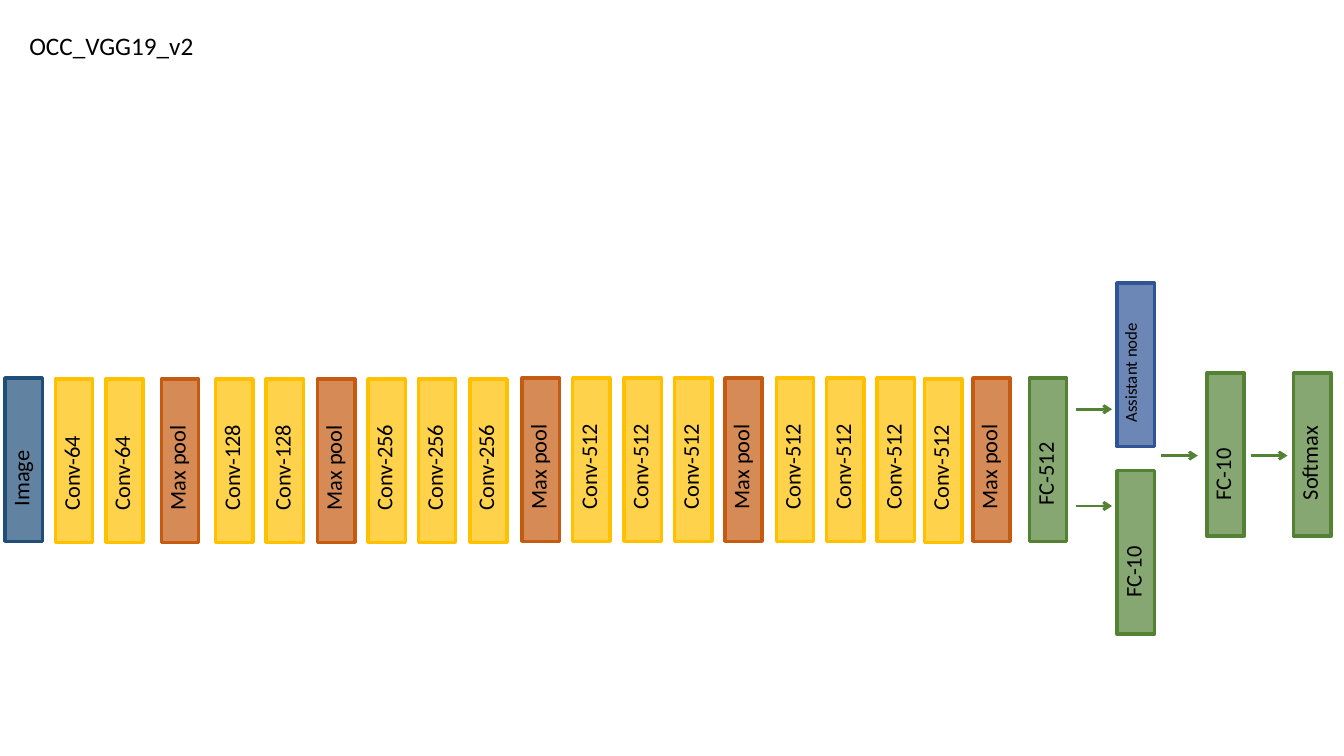
from dataclasses import dataclass
from typing import Any

from pptx import Presentation
from pptx.dml.color import RGBColor
from pptx.enum.shapes import MSO_CONNECTOR, MSO_SHAPE
from pptx.enum.text import MSO_ANCHOR, MSO_AUTO_SIZE, PP_ALIGN
from pptx.oxml.xmlchemy import OxmlElement
from pptx.util import Emu, Pt

EMU_PER_PX = 9144
PAGE_WIDTH, PAGE_HEIGHT = 1333, 750
BLOCK_WIDTH, BLOCK_HEIGHT, LABEL_HEIGHT = 37, 162, 161
PITCH = 50.3
ARROW_LENGTH = 36


@dataclass(frozen=True)
class Theme:
    font: str = "Calibri"
    text: str = "000000"
    image: str = "1F4E79"
    conv: str = "FFC000"
    pool: str = "C55A11"
    dense: str = "548235"
    assistant: str = "2F5597"
    fill_opacity: int = 70
    title_size: int = 18
    label_size: int = 16
    small_size: int = 12
    border: float = 2.5
    arrow: float = 2


THEME = Theme()


@dataclass(frozen=True)
class LayerKind:
    color: str
    label_rise: int
    label_size: int = THEME.label_size
    label_width: int = 47
    label_shift: int = 3


@dataclass(frozen=True)
class LayerRun:
    """Layers side by side at the common pitch."""
    left: int
    top: int
    labels: tuple[str, ...]


@dataclass(frozen=True)
class Arrow:
    left: int
    middle: int


KINDS = {
    "Image": LayerKind(THEME.image, 24),
    "Conv": LayerKind(THEME.conv, 21),
    "Max pool": LayerKind(THEME.pool, 21),
    "FC": LayerKind(THEME.dense, 25),
    "Softmax": LayerKind(THEME.dense, 25),
    "Assistant node": LayerKind(THEME.assistant, 13, THEME.small_size, 40, 2),
}
POOL = "Max pool"
RUNS = (
    LayerRun(5, 375, ("Image",)),
    LayerRun(55, 376, ("Conv-64",) * 2),
    LayerRun(160, 376, (POOL,)),
    LayerRun(214, 376, ("Conv-128",) * 2 + (POOL,) + ("Conv-256",) * 3),
    LayerRun(518, 375, (POOL, *("Conv-512",) * 3) * 2),
    LayerRun(917, 376, ("Conv-512",)),
    LayerRun(965, 375, (POOL,)),
    LayerRun(1021, 375, ("FC-512",)),
    LayerRun(1108, 281, ("Assistant node",)),
    LayerRun(1108, 467, ("FC-10",)),
    LayerRun(1197, 370, ("FC-10",)),
    LayerRun(1283, 370, ("Softmax",)),
)
ARROWS = (Arrow(1067, 406), Arrow(1067, 502), Arrow(1152, 452), Arrow(1241, 452))


def px(*lengths: int) -> tuple[Emu, ...]:
    return tuple(Emu(length * EMU_PER_PX) for length in lengths)


def set_format(target: Any, values: dict[str, Any]) -> None:
    for name, value in values.items():
        setattr(target, name, value)


def write(frame: Any, text: str, size: int) -> None:
    para = frame.paragraphs[0]
    para.alignment = PP_ALIGN.LEFT
    span = para.add_run()
    span.text = text
    set_format(span.font, {"name": THEME.font, "size": Pt(size)})
    span.font.color.rgb = RGBColor.from_string(THEME.text)


def add_title(page: Any, text: str) -> None:
    title = page.shapes.title
    left, top, width, height = px(19, 25, 846, 40)
    set_format(title, {"left": left, "top": top, "width": width, "height": height})
    set_format(title.text_frame, {
        "word_wrap": True,
        "auto_size": MSO_AUTO_SIZE.NONE,
        "vertical_anchor": MSO_ANCHOR.TOP,
    })
    write(title.text_frame, text, THEME.title_size)


def add_block(page: Any, left: int, top: int, color: str) -> None:
    block = page.shapes.add_shape(
        MSO_SHAPE.RECTANGLE, *px(left, top, BLOCK_WIDTH, BLOCK_HEIGHT))
    block.shadow.inherit = False
    block.fill.solid()
    block.fill.fore_color.rgb = block.line.color.rgb = RGBColor.from_string(color)
    block.line.width = Pt(THEME.border)
    alpha = OxmlElement("a:alpha")
    alpha.set("val", str(THEME.fill_opacity * 1000))
    block.fill._xPr.solidFill[0].append(alpha)


def add_label(page: Any, left: int, top: int, text: str, kind: LayerKind) -> None:
    """Write a label that reads from bottom to top."""
    box = page.shapes.add_textbox(*px(
        left - kind.label_shift, top - kind.label_rise,
        kind.label_width, LABEL_HEIGHT))
    box.rotation = 180
    set_format(box.text_frame, {
        "word_wrap": True,
        "auto_size": MSO_AUTO_SIZE.SHAPE_TO_FIT_TEXT,
    })
    box.text_frame._txBody.bodyPr.set("vert", "eaVert")
    write(box.text_frame, text, kind.label_size)


def add_run_of_layers(page: Any, run: LayerRun) -> None:
    for index, label in enumerate(run.labels):
        kind = KINDS[label.split("-")[0]]
        left = run.left + round(index * PITCH)
        add_block(page, left, run.top, kind.color)
        add_label(page, left, run.top, label, kind)


def add_arrow(page: Any, arrow: Arrow) -> None:
    line = page.shapes.add_connector(MSO_CONNECTOR.STRAIGHT, *px(
        arrow.left, arrow.middle, arrow.left + ARROW_LENGTH, arrow.middle))
    line.line.color.rgb = RGBColor.from_string(THEME.dense)
    line.line.width = Pt(THEME.arrow)
    head = OxmlElement("a:tailEnd")
    head.set("type", "arrow")
    line.line._ln.append(head)
    line._element.spPr.append(OxmlElement("a:effectLst"))


def main() -> None:
    deck = Presentation()
    deck.slide_width, deck.slide_height = px(PAGE_WIDTH, PAGE_HEIGHT)
    page = deck.slides.add_slide(deck.slide_layouts.get_by_name("Title Only"))
    add_title(page, "OCC_VGG19_v2")
    for run in RUNS:
        add_run_of_layers(page, run)
    for arrow in ARROWS:
        add_arrow(page, arrow)
    deck.save("out.pptx")


if __name__ == "__main__":
    main()
